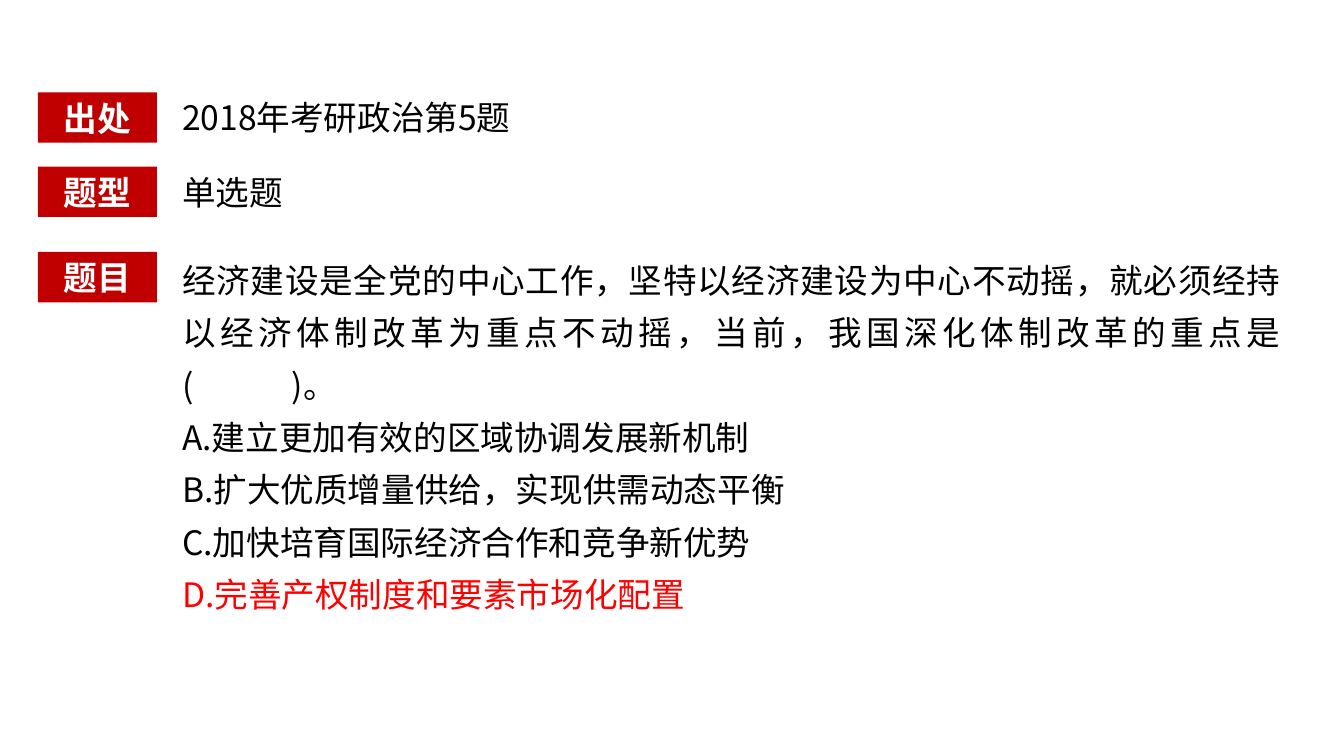
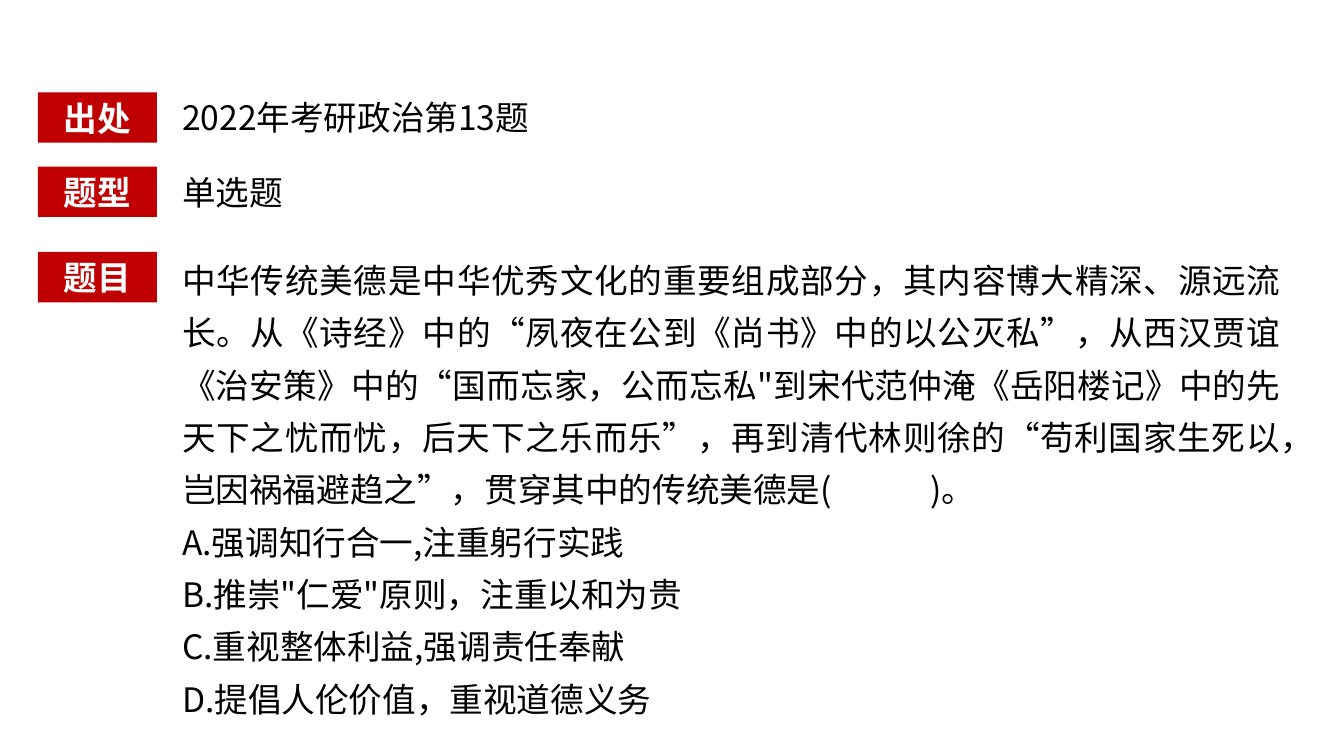
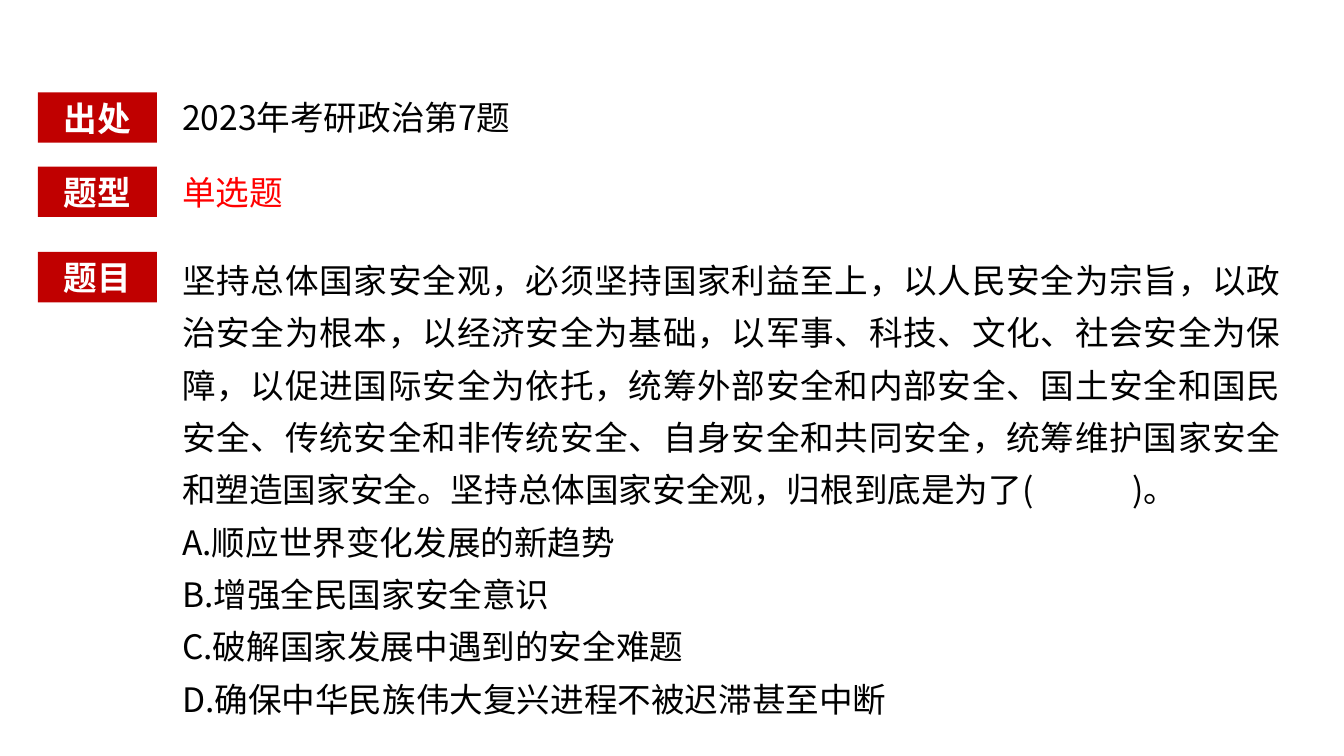
import pptx
import pptx.dml.color
import pptx.enum.shapes
import pptx.enum.text
import pptx.oxml.ns
import pptx.util
from dataclasses import dataclass

Pt = pptx.util.Pt
RGB = pptx.dml.color.RGBColor.from_string
ALIGN = pptx.enum.text.PP_ALIGN


@dataclass(frozen=True)
class Theme:
    font: str = "Noto Sans CJK SC"
    size: float = 24
    label_fill: RGB = RGB("C00000")
    label_text: RGB = RGB("FFFFFF")
    text: RGB = RGB("000000")
    highlight: RGB = RGB("FF0000")
    line: float = 28.8       # single line
    open_line: float = 37.4  # question and options
    blank: float = 65        # extra width of the answer blank


THEME = Theme()

# Content: "( )" in a stem is the answer blank; "marked" lines are highlighted
KIND = "单选题"
QUESTIONS = [
    dict(
        source="2018年考研政治第5题",
        stem="经济建设是全党的中心工作，坚特以经济建设为中心不动摇，就必须经持以经济体制改革为重点不动摇，"
             "当前，我国深化体制改革的重点是( )。",
        options=["A.建立更加有效的区域协调发展新机制",
                 "B.扩大优质增量供给，实现供需动态平衡",
                 "C.加快培育国际经济合作和竞争新优势",
                 "D.完善产权制度和要素市场化配置"],
        marked="D.完善产权制度和要素市场化配置",
    ),
    dict(
        source="2022年考研政治第13题",
        stem="中华传统美德是中华优秀文化的重要组成部分，其内容博大精深、源远流长。"
             "从《诗经》中的“夙夜在公到《尚书》中的以公灭私”，"
             "从西汉贾谊《治安策》中的“国而忘家，公而忘私\"到宋代范仲淹《岳阳楼记》中的"
             "先天下之忧而忧，后天下之乐而乐”，再到清代林则徐的“苟利国家生死以，"
             "岂因祸福避趋之”，贯穿其中的传统美德是( )。",
        options=["A.强调知行合一,注重躬行实践",
                 "B.推崇\"仁爱\"原则，注重以和为贵",
                 "C.重视整体利益,强调责任奉献",
                 "D.提倡人伦价值，重视道德义务"],
        marked=None,
    ),
    dict(
        source="2023年考研政治第7题",
        stem="坚持总体国家安全观，必须坚持国家利益至上，以人民安全为宗旨，以政治安全为根本，"
             "以经济安全为基础，以军事、科技、文化、社会安全为保障，以促进国际安全为依托，"
             "统筹外部安全和内部安全、国土安全和国民安全、传统安全和非传统安全、"
             "自身安全和共同安全，统筹维护国家安全和塑造国家安全。"
             "坚持总体国家安全观，归根到底是为了( )。",
        options=["A.顺应世界变化发展的新趋势",
                 "B.增强全民国家安全意识",
                 "C.破解国家发展中遇到的安全难题",
                 "D.确保中华民族伟大复兴进程不被迟滞甚至中断"],
        marked=KIND,
    ),
]

# Layout in points
LABEL_TOPS = {"出处": 66, "题型": 119, "题目": 180}
LABEL_LEFT, LABEL_W, ROW_H = 27, 85, 36
TEXT_LEFT, ROW_W = 123, 652
STEM_TOP, STEM_W = 173.5, 799


def format_run(r, color, bold=False):
    r.font.name, r.font.size, r.font.bold = THEME.font, Pt(THEME.size), bold
    r.font.color.rgb = color
    ea = r.font._element.makeelement(pptx.oxml.ns.qn("a:ea"), {"typeface": THEME.font})
    r.font._element.find(pptx.oxml.ns.qn("a:latin")).addnext(ea)


def format_paragraph(p, color, align, line, bold=False):
    p.alignment, p.line_spacing = align, Pt(line)
    for r in p.runs:
        format_run(r, color, bold)


def setup_frame(sp):
    tf = sp.text_frame
    tf.word_wrap = True
    tf.auto_size = pptx.enum.text.MSO_AUTO_SIZE.SHAPE_TO_FIT_TEXT
    return tf


def add_label(s, text, top):
    sp = s.shapes.add_shape(pptx.enum.shapes.MSO_SHAPE.RECTANGLE,
                            Pt(LABEL_LEFT), Pt(top), Pt(LABEL_W), Pt(ROW_H))
    sp.shadow.inherit = False
    sp.fill.solid()
    sp.fill.fore_color.rgb = THEME.label_fill
    sp.line.fill.background()
    tf = setup_frame(sp)
    tf.text = text
    format_paragraph(tf.paragraphs[0], THEME.label_text, ALIGN.CENTER, THEME.line, True)


def add_text(s, lines, top, width, line, marked):
    height = line * len(lines) + 7.2
    tf = setup_frame(s.shapes.add_textbox(Pt(TEXT_LEFT), Pt(top), Pt(width), Pt(height)))
    for i, text in enumerate(lines):
        p = tf.paragraphs[0] if i == 0 else tf.add_paragraph()
        before, blank, after = text.partition("( )")
        if blank:
            # One widely spaced character forms the answer blank
            for part in (before + "(", " ", ")" + after):
                p.add_run().text = part
            p.runs[1].font._element.set("spc", str(THEME.blank * 100))
        else:
            p.text = text
        color = THEME.highlight if text == marked else THEME.text
        format_paragraph(p, color, ALIGN.JUSTIFY if blank else ALIGN.LEFT, line)


def add_question(prs, q):
    s = prs.slides.add_slide(prs.slide_layouts[6])
    for label, top in LABEL_TOPS.items():
        add_label(s, label, top)
    for label, text in (("出处", q["source"]), ("题型", KIND)):
        add_text(s, [text], LABEL_TOPS[label], ROW_W, THEME.line, q["marked"])
    add_text(s, [q["stem"], *q["options"]], STEM_TOP, STEM_W, THEME.open_line, q["marked"])


def main():
    prs = pptx.Presentation()
    prs.slide_width, prs.slide_height = Pt(960), Pt(540)
    for q in QUESTIONS:
        add_question(prs, q)
    prs.save("out.pptx")


if __name__ == "__main__":
    main()
